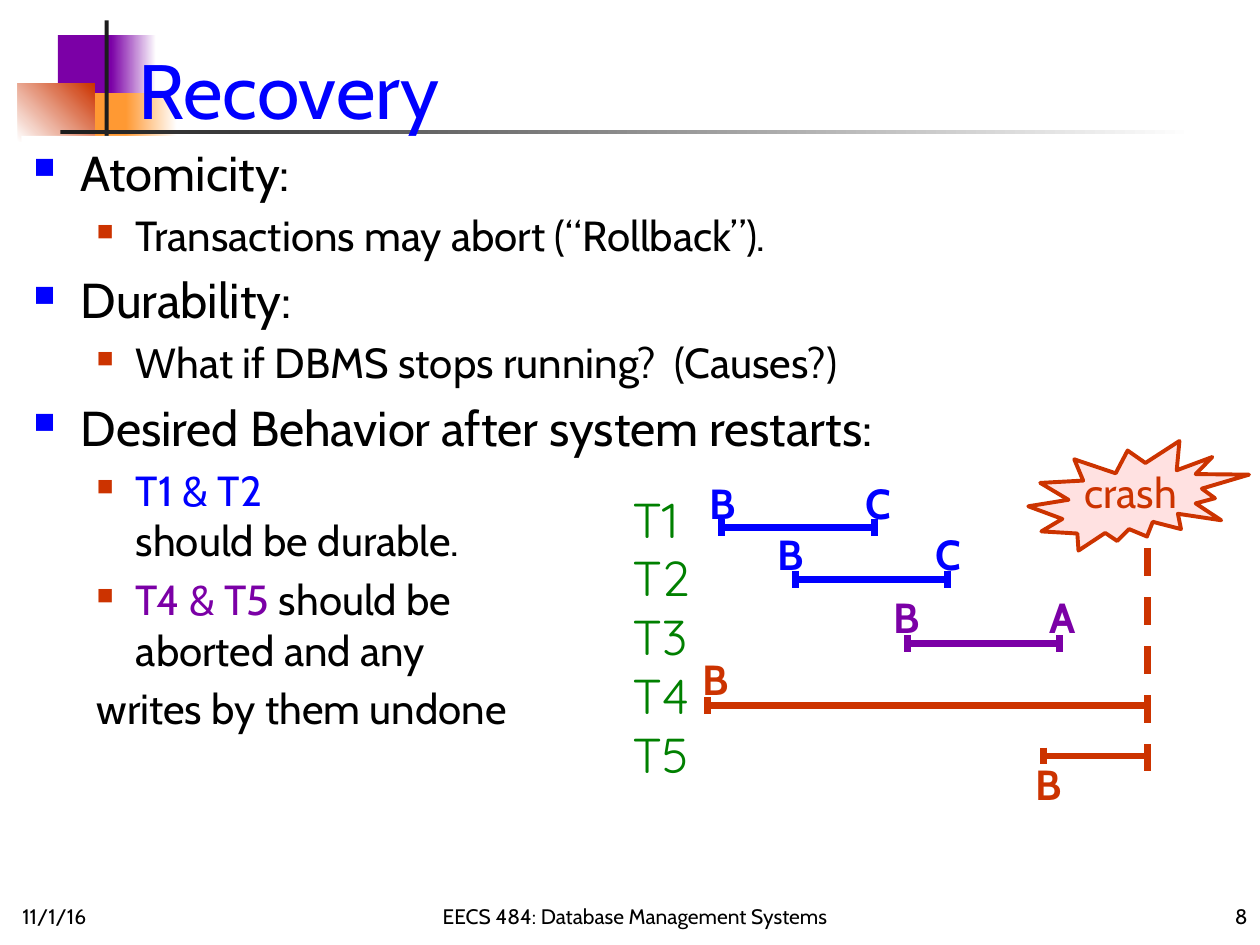
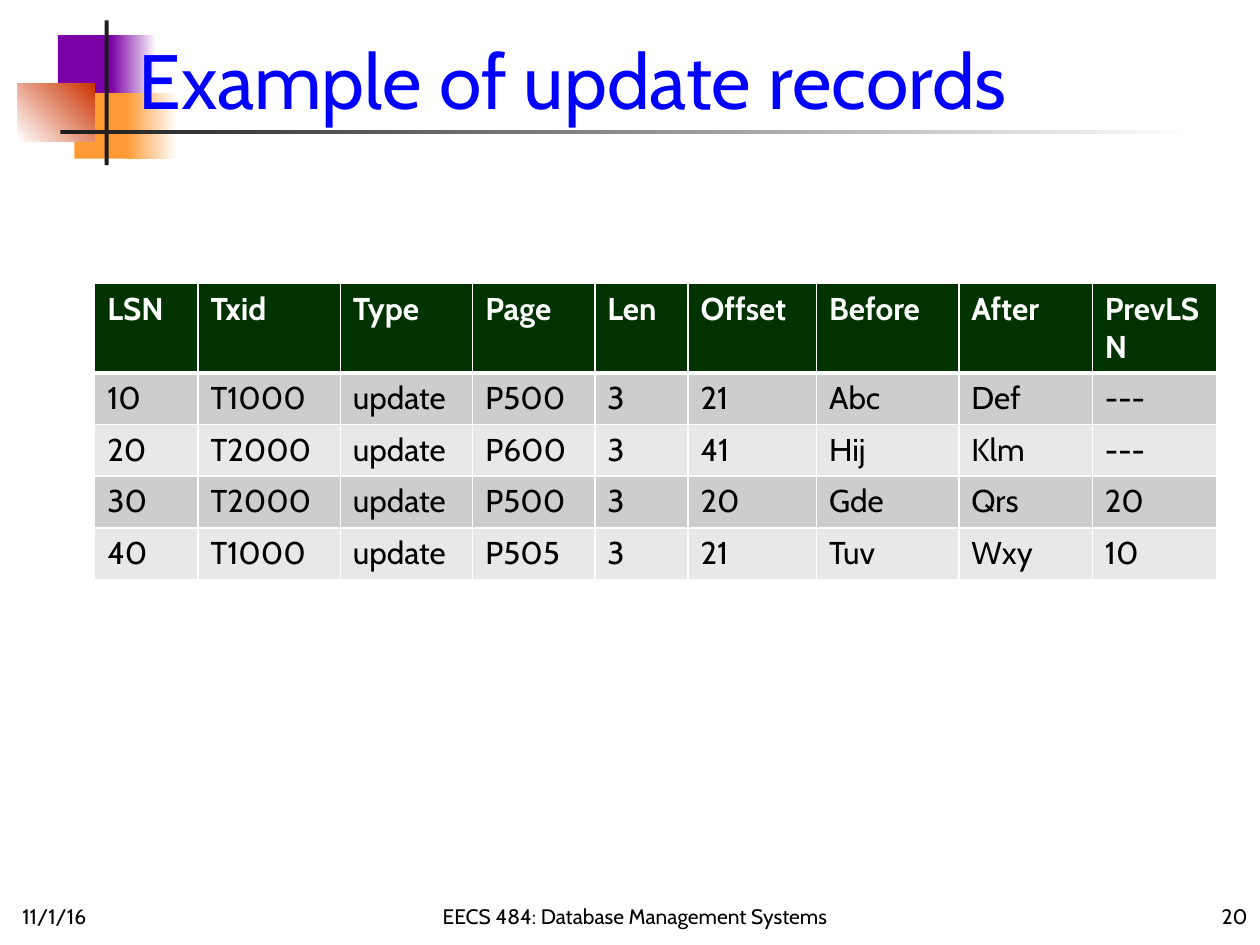
from lxml import etree
from pptx import Presentation
from pptx import util as u
from pptx.dml.color import RGBColor
from pptx.enum import dml, shapes, text
from pptx.oxml import parse_xml
from pptx.oxml.ns import nsdecls, qn

BLACK = RGBColor(0, 0, 0)
WHITE = RGBColor(0xFF, 0xFF, 0xFF)
INK = RGBColor(0x1C, 0x1C, 0x1C)
BLUE = RGBColor(0, 0, 0xFF)
PURPLE = RGBColor(0x7B, 0x00, 0xA6)
ORANGE = RGBColor(0xFF, 0x99, 0x33)
RED = RGBColor(0xCC, 0x33, 0x00)
PINK = RGBColor(0xFF, 0xE1, 0xE1)
GREEN = RGBColor(0, 0x80, 0)
HEADER_GREEN = RGBColor(0, 0x33, 0)
ROW_GREYS = [RGBColor(0xCC, 0xCE, 0xCC), RGBColor(0xE7, 0xE8, 0xE7)]

FONT = "Cabin"
TEXT_INSETS = (0.25, 0.13, 0.25, 0.13)
LEFT, CENTER, RIGHT = text.PP_ALIGN.LEFT, text.PP_ALIGN.CENTER, text.PP_ALIGN.RIGHT
TOP, MIDDLE, BOTTOM = (text.MSO_ANCHOR.TOP, text.MSO_ANCHOR.MIDDLE,
                       text.MSO_ANCHOR.BOTTOM)


def write(paragraph, content, size=12, color=BLACK, font=FONT, bold=False,
          align=LEFT, spacing=None):
    """Write a string, or (string, colour) pieces; a newline breaks the line."""
    paragraph.alignment = align
    if spacing:
        paragraph.line_spacing = spacing
    pieces = [(content, color)] if isinstance(content, str) else content
    for words, shade in pieces:
        for i, line in enumerate(words.split("\n")):
            if i:
                paragraph.add_line_break()
            run = paragraph.add_run()
            run.text = line
            run.font.size = u.Pt(size)
            run.font.name = font
            run.font.bold = bold
            run.font.color.rgb = shade


def add_bullet(paragraph, color, percent):
    props = paragraph._p.get_or_add_pPr()
    for xml in (f'<a:buClr {nsdecls("a")}><a:srgbClr val="{color}"/></a:buClr>',
                f'<a:buSzPct {nsdecls("a")} val="{percent * 1000}"/>',
                f'<a:buChar {nsdecls("a")} char="■"/>'):
        props.append(parse_xml(xml))


def set_borders(cell, **widths):
    props = cell._tc.get_or_add_tcPr()
    for i, side in enumerate("LRTB"):
        width = u.Pt(widths.get(side, 1))
        props.insert(i, parse_xml(
            f'<a:ln{side} {nsdecls("a")} w="{width}"><a:solidFill>'
            f'<a:srgbClr val="{WHITE}"/></a:solidFill></a:ln{side}>'))


class Deck:
    def __init__(self):
        self.prs = Presentation()
        self.prs.slide_width, self.prs.slide_height = u.Cm(25.4), u.Cm(19.05)
        self.slide = None

    def new_slide(self, title, number, title_top=0.0):
        self.slide = self.prs.slides.add_slide(self.prs.slide_layouts[6])
        self.decorate()
        footers = [(0.2, 5.28, "11/1/16", LEFT),
                   (5.92, 13.77, "EECS 484: Database Management Systems", CENTER),
                   (20.12, 5.28, str(number), RIGHT)]
        for left, width, words, align in footers:
            self.text((left, 17.58, width, 1.27), [words], anchor=BOTTOM, align=align)
        self.text((2.54, title_top, 22.43, 3.18), [title], anchor=MIDDLE,
                  size=44, color=BLUE)

    def decorate(self):
        # Coloured squares, then the crossing bars
        self.rect((1.17, 0.71, 1.22, 1.32), PURPLE)
        self.rect((2.24, 0.71, 0.91, 1.32), PURPLE, WHITE)
        self.rect((1.5, 1.88, 1.17, 1.32), ORANGE)
        self.rect((2.54, 1.88, 1.02, 1.32), ORANGE, WHITE)
        self.rect((0.36, 1.68, 1.55, 1.17), WHITE, RED, angle=45)
        self.rect((2.11, 0.41, 0.08, 2.92), INK)
        self.rect((1.22, 2.62, 22.86, 0.08), INK, WHITE)

    def rect(self, box, color, fade_to=None, angle=0,
             kind=shapes.MSO_SHAPE.RECTANGLE):
        shape = self.slide.shapes.add_shape(kind, *map(u.Cm, box))
        shape.shadow.inherit = False
        shape.line.fill.background()
        if fade_to is None:
            shape.fill.solid()
            shape.fill.fore_color.rgb = color
        else:
            shape.fill.gradient()
            shape.fill.gradient_angle = angle
            for stop, shade in zip(shape.fill.gradient_stops, (color, fade_to)):
                stop.color.rgb = shade
        return shape

    def frame(self, shape, anchor=TOP, insets=TEXT_INSETS, wrap=True):
        frame = shape.text_frame
        frame.word_wrap = wrap
        frame.vertical_anchor = anchor
        (frame.margin_left, frame.margin_top,
         frame.margin_right, frame.margin_bottom) = map(u.Cm, insets)
        return frame

    def text(self, box, lines, anchor=TOP, insets=TEXT_INSETS, wrap=True, **style):
        frame = self.frame(self.slide.shapes.add_textbox(*map(u.Cm, box)),
                           anchor, insets, wrap)
        for i, line in enumerate(lines):
            write(frame.add_paragraph() if i else frame.paragraphs[0], line, **style)

    def outline(self, box, items):
        """Fill a white panel with (level, content) items; level None has no bullet."""
        # level: size, left margin, first-line indent, bullet colour, bullet percent
        levels = {0: (28, 0.95, -0.95, BLUE, 60), 1: (24, 2.06, -0.79, RED, 55),
                  None: (24, 1.27, 0, None, None)}
        frame = self.frame(self.rect(box, WHITE))
        for i, (level, content) in enumerate(items):
            size, margin, indent, color, percent = levels[level]
            para = frame.add_paragraph() if i else frame.paragraphs[0]
            write(para, content, size=size)
            para.space_before = u.Pt(size * 0.2)
            props = para._p.get_or_add_pPr()
            props.set("marL", str(u.Cm(margin)))
            props.set("indent", str(u.Cm(indent)))
            if color is not None:
                add_bullet(para, color, percent)

    def line(self, start, end, color, dash=None):
        link = self.slide.shapes.add_connector(
            shapes.MSO_CONNECTOR.STRAIGHT, *map(u.Cm, start + end))
        link.line.color.rgb = color
        link.line.width = u.Pt(4)
        if dash:
            link.line.dash_style = dash
        etree.SubElement(link._element.spPr, qn("a:effectLst"))

    def span(self, color, y, start, end, label_top, marks):
        """Draw a transaction's lifetime; marks are (letter, tick x, label x)."""
        self.line((start, y), (end, y), color)
        for letter, tick, label in marks:
            self.line((tick, y - 0.17), (tick, y + 0.17), color)
            self.text((label, label_top, 0.84, 1.32), [letter], insets=(0, 0, 0, 0),
                      size=24, color=color, bold=True, spacing=1.3)

    def table(self, left, top, widths, heights, rows):
        grid = self.slide.shapes.add_table(
            len(rows), len(widths), u.Cm(left), u.Cm(top),
            u.Cm(sum(widths)), u.Cm(sum(heights))).table
        for column, width in zip(grid.columns, widths):
            column.width = u.Cm(width)
        for r, (row, height) in enumerate(zip(rows, heights)):
            grid.rows[r].height = u.Cm(height)
            for c, value in enumerate(row):
                cell = grid.cell(r, c)
                cell.fill.solid()
                cell.fill.fore_color.rgb = ROW_GREYS[(r - 1) % 2] if r else HEADER_GREEN
                set_borders(cell, T=3 if r == 1 else 1, B=1 if r else 3)
                write(cell.text_frame.paragraphs[0], value, size=18,
                      color=BLACK if r else WHITE, bold=r == 0)


def recovery_slide(deck):
    deck.new_slide("Recovery", 8, title_top=0.2)
    deck.outline((0.43, 2.74, 20.32, 13.54), [
        (0, "Atomicity:"),
        (1, "Transactions may abort (“Rollback”)."),
        (0, "Durability:"),
        (1, "What if DBMS stops running?  (Causes?)"),
        (0, "Desired Behavior after system restarts:"),
        (1, [("T1 & T2 \n", BLUE), ("should be durable.", BLACK)]),
        (1, [("T4 & T5", PURPLE), (" should be\naborted and any", BLACK)]),
        (None, "writes by them undone"),
    ])

    # Timeline names and the moment of the crash
    deck.text((12.5, 9.73, 1.73, 6.2), [f"T{n}" for n in range(1, 6)], wrap=False,
              size=28, color=GREEN, font="Quicksand")
    crash_x = 23.14
    deck.line((crash_x, 11.05), (crash_x, 15.54), RED, dml.MSO_LINE.DASH)
    crash = deck.rect((20.73, 8.89, 4.45, 2.21), PINK,
                      kind=shapes.MSO_SHAPE.EXPLOSION2)
    crash.line.color.rgb = RED
    crash.line.width = u.Pt(2.25)
    label = deck.frame(crash, MIDDLE, (0, 0, 0, 0.25), wrap=False)
    write(label.paragraphs[0], "crash", size=24, color=RED, align=CENTER)

    # Transaction lifetimes: B begin, C commit, A abort
    deck.span(PURPLE, 12.98, 18.29, 21.36, 11.63,
              [("A", 21.36, 21.16), ("B", 18.29, 18.01)])
    deck.span(BLUE, 11.68, 16.03, 19.1, 10.36,
              [("C", 19.1, 18.85), ("B", 16.03, 15.67)])
    deck.span(BLUE, 10.64, 14.55, 17.63, 9.32,
              [("C", 17.63, 17.45), ("B", 14.55, 14.3)])
    deck.span(RED, 14.22, 14.22, crash_x, 12.88, [("B", 14.27, 14.17)])
    deck.span(RED, 15.24, 21.03, crash_x, 14.99, [("B", 21.03, 20.88)])


def records_slide(deck):
    deck.new_slide("Example of update records", 20)
    widths = [2.08, 2.87, 2.67, 2.46, 1.88, 2.59, 2.87, 2.69, 2.51]
    deck.table(1.91, 5.72, widths, [1.8] + [1.04] * 4, [
        ["LSN", "Txid", "Type", "Page", "Len", "Offset", "Before", "After", "PrevLSN"],
        ["10", "T1000", "update", "P500", "3", "21", "Abc", "Def", "---"],
        ["20", "T2000", "update", "P600", "3", "41", "Hij", "Klm", "---"],
        ["30", "T2000", "update", "P500", "3", "20", "Gde", "Qrs", "20"],
        ["40", "T1000", "update", "P505", "3", "21", "Tuv", "Wxy", "10"],
    ])


def main():
    deck = Deck()
    recovery_slide(deck)
    records_slide(deck)
    deck.prs.save("out.pptx")


if __name__ == "__main__":
    main()
